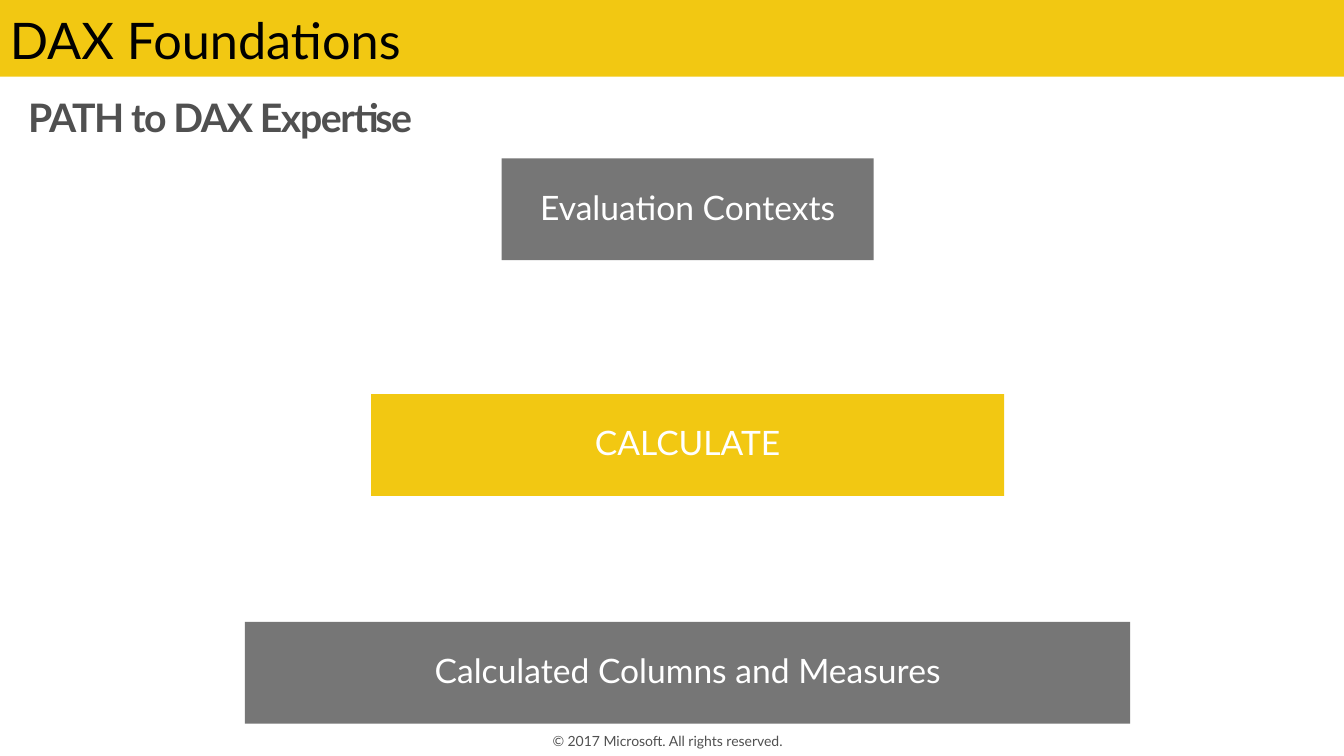
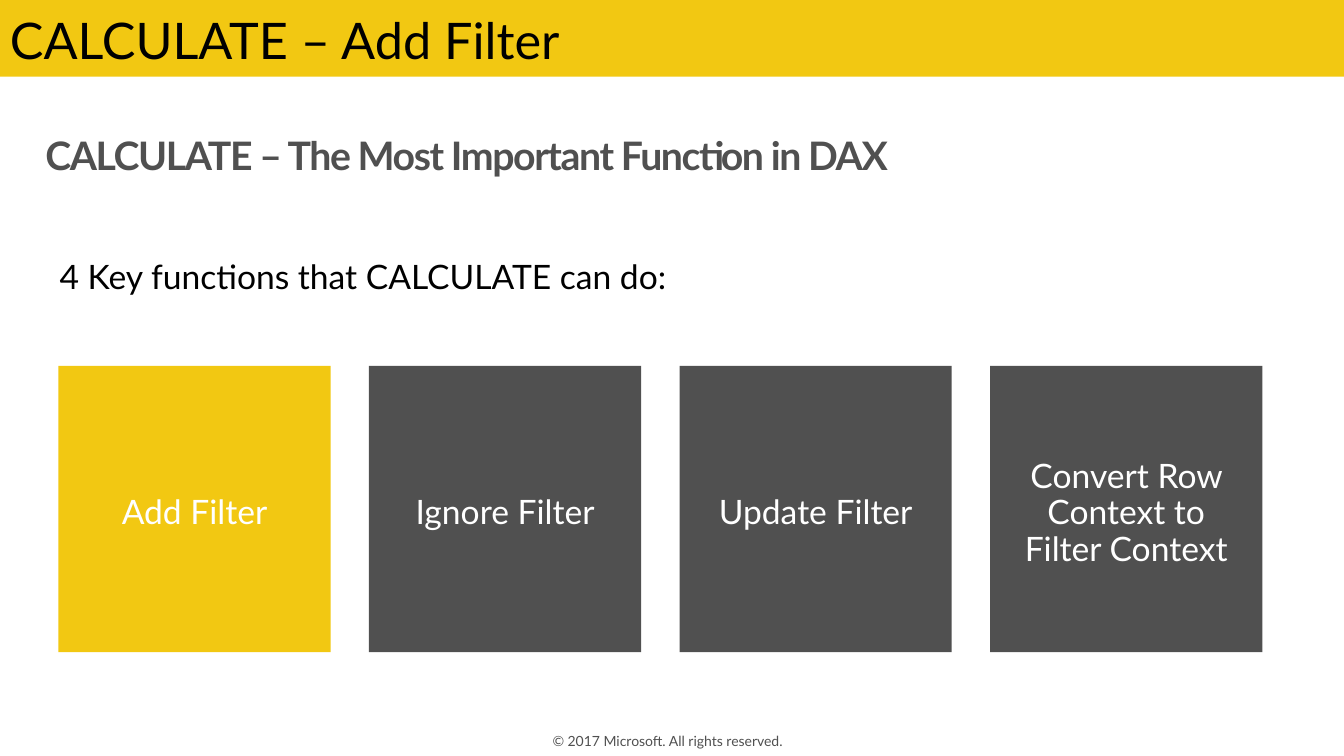
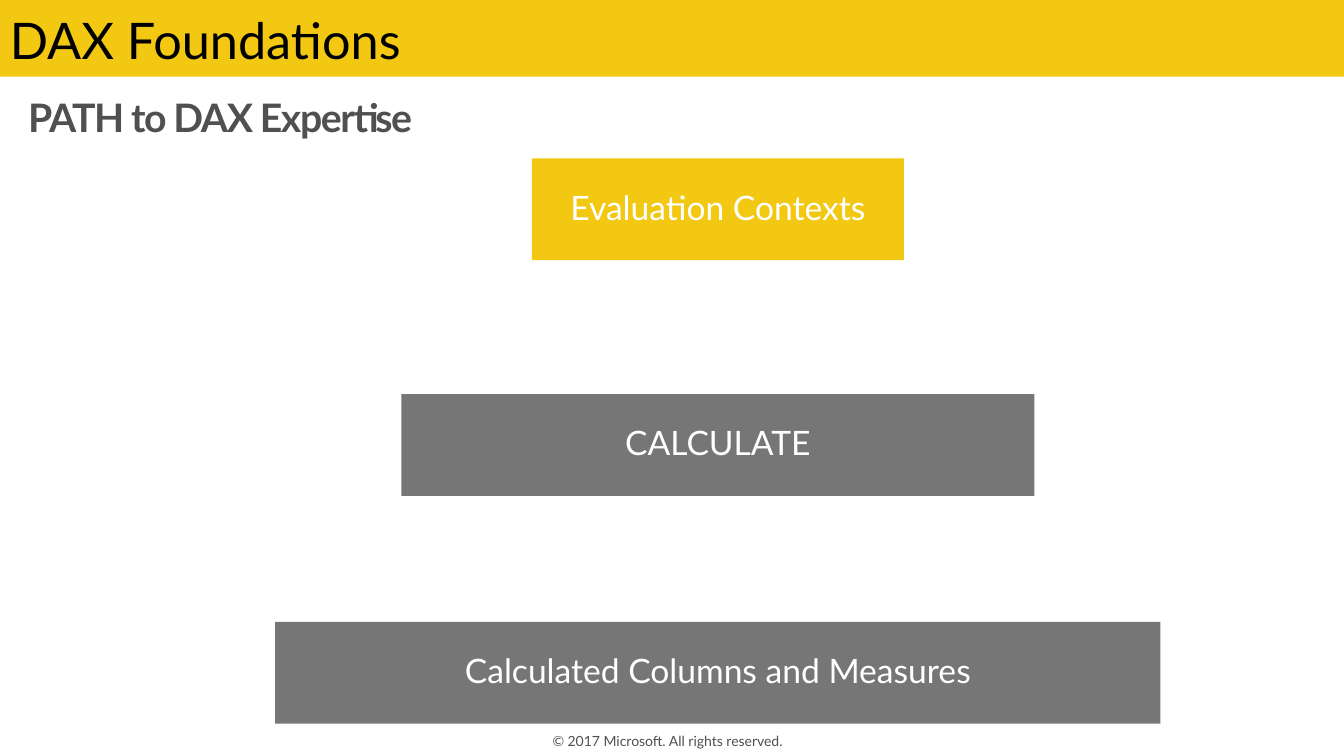
from pptx import Presentation
from pptx.dml.color import RGBColor
from pptx.enum import shapes, text
from pptx.util import Inches, Pt

YELLOW = RGBColor(0xF2, 0xC8, 0x12)
GRAY = RGBColor(0x76, 0x76, 0x76)
DARK = RGBColor(0x50, 0x50, 0x50)
BLACK = RGBColor(0x00, 0x00, 0x00)
WHITE = RGBColor(0xFF, 0xFF, 0xFF)

FONT = "Lato"
SLIDE_WIDTH, SLIDE_HEIGHT = 13.33, 7.5
FOOTER = "© 2017 Microsoft. All rights reserved."
DEFAULT_INSETS = (0.1, 0.05, 0.1, 0.05)
HEADING_INSETS = (0.16, 0.1, 0.16, 0.1)
BODY_INSETS = (0.2, 0.16, 0.2, 0.16)
TILE_INSETS = (0.2, 0.26, 0.2, 0.16)
FOOTER_INSETS = (0, 0, 0.1, 0)

FOUNDATIONS = "DAX Foundations"
PATH_HEADING = "PATH to DAX Expertise"
PATH_STEPS = [
    ("Calculated Columns and Measures", 6.17, 8.78),
    ("CALCULATE", 3.91, 6.28),
    ("Evaluation Contexts", 1.57, 3.69),
]
STEP_HEIGHT = 1.01

FILTER_TITLE = "CALCULATE – Add Filter"
FILTER_HEADING = "CALCULATE – The Most Important Function in DAX"
FILTER_INTRO = "4 Key functions that CALCULATE can do:"
FILTER_TILES = [
    "Add Filter",
    "Ignore Filter",
    "Update Filter",
    "Convert Row Context to Filter Context",
]
TILE_LEFT, TILE_TOP, TILE_WIDTH, TILE_HEIGHT, TILE_GAP = 0.58, 3.63, 2.7, 2.84, 0.38


def write(shape, content, size, color, insets=DEFAULT_INSETS, centered=False,
          middle=False, line_spacing=None, bold=False, tracking=None):
    frame = shape.text_frame
    frame.word_wrap = True
    frame.margin_left, frame.margin_top, frame.margin_right, frame.margin_bottom = map(Inches, insets)
    frame.vertical_anchor = text.MSO_ANCHOR.MIDDLE if middle else text.MSO_ANCHOR.TOP
    paragraph = frame.paragraphs[0]
    paragraph.alignment = text.PP_ALIGN.CENTER if centered else text.PP_ALIGN.LEFT
    if line_spacing:
        paragraph.line_spacing = line_spacing
    run = paragraph.add_run()
    run.text = content
    run.font.name = FONT
    run.font.size = Pt(size)
    run.font.bold = bold
    run.font.color.rgb = color
    if tracking:
        run.font._element.set("spc", str(tracking * 100))


def add_text(slide, box, content, size, color, **style):
    write(slide.shapes.add_textbox(*map(Inches, box)), content, size, color, **style)


def add_block(slide, box, fill):
    shape = slide.shapes.add_shape(shapes.MSO_SHAPE.RECTANGLE, *map(Inches, box))
    shape.shadow.inherit = False
    shape.fill.solid()
    shape.fill.fore_color.rgb = fill
    shape.line.fill.background()
    return shape


def add_label_block(slide, box, fill, label, insets=BODY_INSETS):
    write(add_block(slide, box, fill), label, 24, WHITE, insets=insets,
          centered=True, middle=True, line_spacing=0.9)


def add_base_slide(presentation, title, heading, heading_left, heading_top):
    slide = presentation.slides.add_slide(presentation.slide_layouts[6])
    add_block(slide, (0, 0, SLIDE_WIDTH, 0.76), YELLOW)
    add_text(slide, (0, 0.04, 12.53, 0.72), title, 36, BLACK)
    add_text(slide, (heading_left, heading_top, 12.75, 0.57), heading, 28, DARK,
             insets=HEADING_INSETS, line_spacing=0.9, bold=True, tracking=-1)
    add_text(slide, (4.42, 7.23, 4.5, 0.25), FOOTER, 10, DARK,
             insets=FOOTER_INSETS, centered=True, middle=True)
    return slide


def add_path_slide(presentation, center, current):
    slide = add_base_slide(presentation, FOUNDATIONS, PATH_HEADING, 0.12, 0.88)
    for label, top, width in PATH_STEPS:
        fill = YELLOW if label == current else GRAY
        add_label_block(slide, (center - width / 2, top, width, STEP_HEIGHT), fill, label)


def add_filter_slide(presentation, current):
    slide = add_base_slide(presentation, FILTER_TITLE, FILTER_HEADING, 0.29, 1.26)
    add_text(slide, (0.39, 2.42, 10.89, 0.69), FILTER_INTRO, 24, BLACK,
             insets=BODY_INSETS, line_spacing=0.9)
    for index, label in enumerate(FILTER_TILES):
        left = TILE_LEFT + index * (TILE_WIDTH + TILE_GAP)
        fill = YELLOW if label == current else DARK
        add_label_block(slide, (left, TILE_TOP, TILE_WIDTH, TILE_HEIGHT), fill, label, TILE_INSETS)


def main():
    presentation = Presentation()
    presentation.slide_width = Inches(SLIDE_WIDTH)
    presentation.slide_height = Inches(SLIDE_HEIGHT)
    add_path_slide(presentation, 6.82, "CALCULATE")
    add_filter_slide(presentation, "Add Filter")
    add_path_slide(presentation, 7.12, "Evaluation Contexts")
    presentation.save("out.pptx")


if __name__ == "__main__":
    main()
